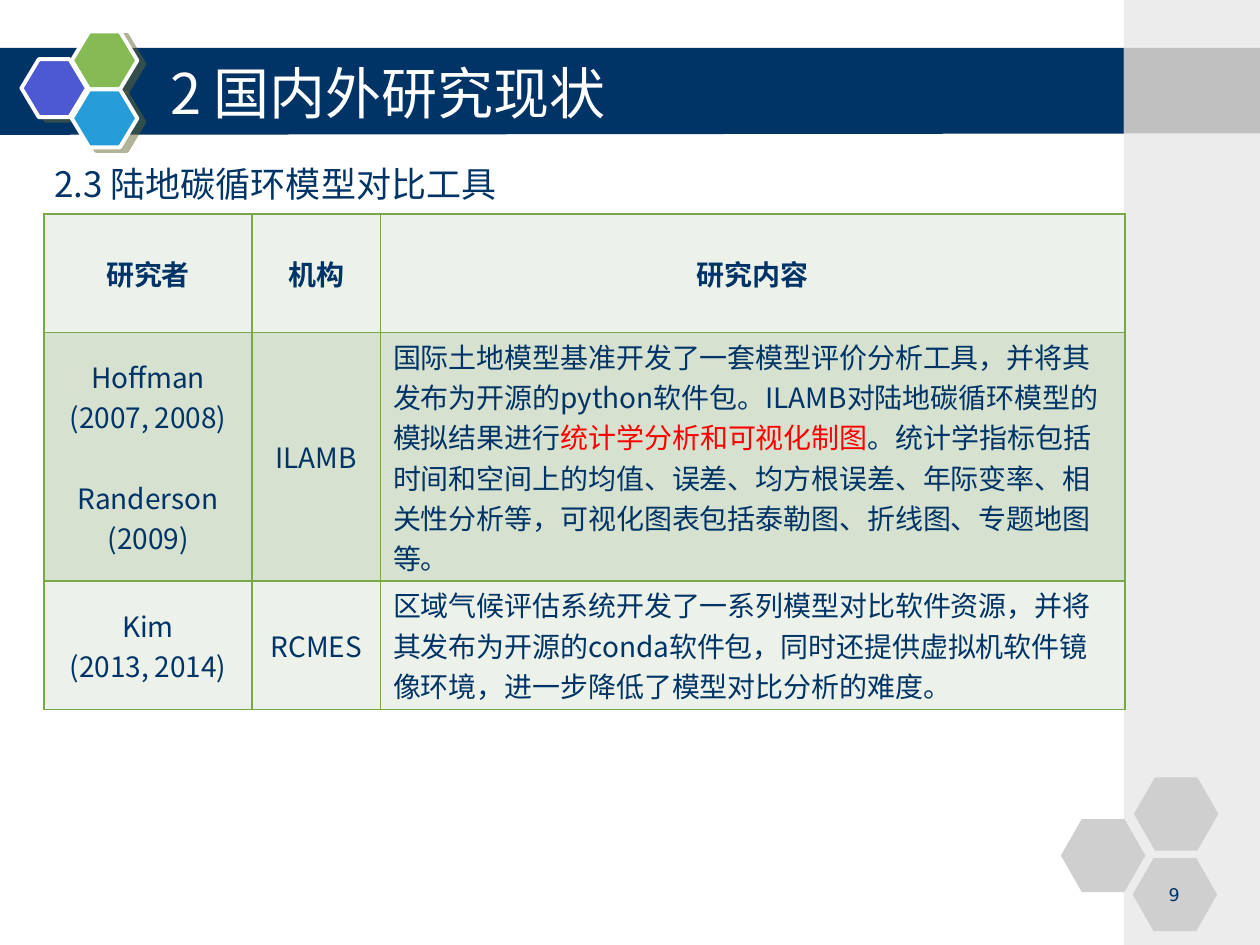
from lxml.etree import SubElement
from pptx import Presentation
from pptx.dml.color import RGBColor
from pptx.enum.shapes import MSO_SHAPE
from pptx.enum.text import MSO_ANCHOR, MSO_AUTO_SIZE, PP_ALIGN
from pptx.oxml.ns import qn
from pptx.util import Inches, Pt

NAVY, WHITE, GREY, RED = "003366", "FFFFFF", "CFCFCF", "FF0000"
PALE, SAGE, EDGE, SHADE = "ECF1E9", "D6E1D0", "78A84B", "666633"
CJK = "Noto Sans CJK SC"

TITLE = "2 国内外研究现状"
HEAD = "2.3 陆地碳循环模型对比工具"
PAGE = "9"
BAND = [(0, 0.38), (8.94, 0.38), (8.93, 1.06), (0, 1.07)]
SIDE = [((8.92, 0, 1.08, 7.5), "ECECEC"), ((8.92, 0.38, 1.08, 0.68), "C0C0C0")]
LOGO = [((0.17, 0.47), "4C59D2"), ((0.57, 0.25), "85BA54"), ((0.57, 0.71), "269DD8")]
COMBS = [(8.42, 6.5), (9, 6.17), (8.99, 6.81)]
COLS = [1.65, 1.02, 5.91]
ROWS = [0.94, 1.97, 1.02]
FILLS = [PALE, SAGE, PALE]
CELLS = [
    [[["研究者"]], [["机构"]], [["研究内容"]]],
    [
        [["Hoffman"], ["(2007, 2008)"], ["Randerson"], ["(2009)"]],
        [["ILAMB"]],
        [[
            "国际土地模型基准开发了一套模型评价分析工具，并将其发布为开源的python软件包。ILAMB对陆地碳循环模型的模拟结果进行",
            ("统计学分析和可视化制图", RED),
            "。统计学指标包括时间和空间上的均值、误差、均方根误差、年际变率、相关性分析等，可视化图表包括泰勒图、折线图、专题地图等。",
        ]],
    ],
    [
        [["Kim"], ["(2013, 2014)"]],
        [["RCMES"]],
        [["区域气候评估系统开发了一系列模型对比软件资源，并将其发布为开源的conda软件包，同时还提供虚拟机软件镜像环境，进一步降低了模型对比分析的难度。"]],
    ],
]
GAPS = {"Randerson": 23}


def paint(fmt, color):
    fmt.solid()
    fmt.fore_color.rgb = RGBColor.from_string(color)


def assign(obj, **vals):
    for key, val in vals.items():
        setattr(obj, key, val)


def place(shape, *box):
    sides = ("left", "top", "width", "height")
    assign(shape, **dict(zip(sides, map(Inches, box))))


def write(para, text, size, color=NAVY, bold=False, font=CJK):
    run = para.add_run()
    run.text = text
    assign(run.font, size=Pt(size), bold=bold, name=font)
    paint(run.font.fill, color)
    SubElement(run._r.get_or_add_rPr(), qn("a:ea"), typeface=font)


def draw(kind, box, color):
    shape = shapes.add_shape(kind, *map(Inches, box))
    shape.shadow.inherit = False
    paint(shape.fill, color)
    shape.line.fill.background()
    return shape


def hexagon(spot, size, color, adj):
    shape = draw(MSO_SHAPE.HEXAGON, (*spot, *size), color)
    shape.adjustments[0] = adj
    shape.adjustments[1] = 1.155
    return shape


def cast(shape):
    fx = shape._element.spPr.find(qn("a:effectLst"))
    drop = SubElement(fx, qn("a:outerShdw"), dist=str(Pt(4.5)), dir=str(27 * 60000),
                      algn="ctr", rotWithShape="0")
    tint = SubElement(drop, qn("a:srgbClr"), val=SHADE)
    SubElement(tint, qn("a:alpha"), val="50000")


def border(cell):
    props = cell._tc.get_or_add_tcPr()
    for side in ("lnL", "lnR", "lnT", "lnB"):
        line = SubElement(props, qn("a:" + side), w=str(Pt(1)))
        fill = SubElement(line, qn("a:solidFill"))
        SubElement(fill, qn("a:srgbClr"), val=EDGE)


def fill_cell(cell, paras, color, align, bold):
    border(cell)
    paint(cell.fill, color)
    assign(cell, vertical_anchor=MSO_ANCHOR.MIDDLE, margin_left=Inches(0.1),
           margin_right=Inches(0.1), margin_top=0, margin_bottom=0)
    for n, runs in enumerate(paras):
        para = cell.text_frame.add_paragraph() if n else cell.text_frame.paragraphs[0]
        para.alignment = align
        for item in runs:
            text, tint = (item, NAVY) if isinstance(item, str) else item
            write(para, text, 16, tint, bold)
            if text in GAPS:
                para.space_before = Pt(GAPS[text])


deck = Presentation()
assign(deck, slide_width=Inches(10), slide_height=Inches(7.5))
slide = deck.slides.add_slide(deck.slide_layouts[1])
shapes = slide.shapes

pen = shapes.build_freeform(*map(Inches, BAND[0]))
pen.add_line_segments([tuple(map(Inches, spot)) for spot in BAND[1:]])
band = pen.convert_to_shape()
band.shadow.inherit = False
paint(band.fill, NAVY)
band.line.fill.background()

for spot, color in LOGO:
    cube = hexagon(spot, (0.52, 0.46), color, 0.3)
    paint(cube.line.fill, WHITE)
    cube.line.width = Pt(2.25)
    cast(cube)
for box, color in SIDE:
    draw(MSO_SHAPE.RECTANGLE, box, color)
for spot in COMBS:
    hexagon(spot, (0.67, 0.58), GREY, 0.286)

title, body = shapes.title, slide.placeholders[1]
place(title, 1.25, 0.42, 7.42, 0.62)
place(body, 0.33, 1.17, 7.5, 0.61)
for holder, anchor in ((title, MSO_ANCHOR.MIDDLE), (body, MSO_ANCHOR.TOP)):
    shapes._spTree.append(holder._element)
    assign(holder.text_frame, word_wrap=True, auto_size=MSO_AUTO_SIZE.NONE,
           vertical_anchor=anchor)
    para = holder.text_frame.paragraphs[0]
    props = para._p.get_or_add_pPr()
    props.set("marL", "0")
    props.set("indent", "0")
    SubElement(props, qn("a:buNone"))
    assign(para, alignment=PP_ALIGN.LEFT, space_before=Pt(0))
write(title.text_frame.paragraphs[0], TITLE, 32, WHITE)
para = body.text_frame.paragraphs[0]
para.line_spacing = 1.2
write(para, HEAD, 20)

frame = shapes.add_table(len(ROWS), len(COLS), *map(Inches, (0.35, 1.7, sum(COLS), sum(ROWS))))
table = frame.table
assign(table, first_row=False, horz_banding=False)
for col, width in zip(table.columns, COLS):
    col.width = Inches(width)
for r, (row, high) in enumerate(zip(table.rows, ROWS)):
    row.height = Inches(high)
    for c, paras in enumerate(CELLS[r]):
        align = PP_ALIGN.LEFT if r and c == 2 else PP_ALIGN.CENTER
        fill_cell(table.cell(r, c), paras, FILLS[r], align, r == 0)

label = draw(MSO_SHAPE.RECTANGLE, (9.07, 6.97, 0.5, 0.25), GREY)
label.text_frame.vertical_anchor = MSO_ANCHOR.TOP
para = label.text_frame.paragraphs[0]
para.alignment = PP_ALIGN.CENTER
write(para, PAGE, 10, font="DejaVu Sans")

deck.save("out.pptx")
